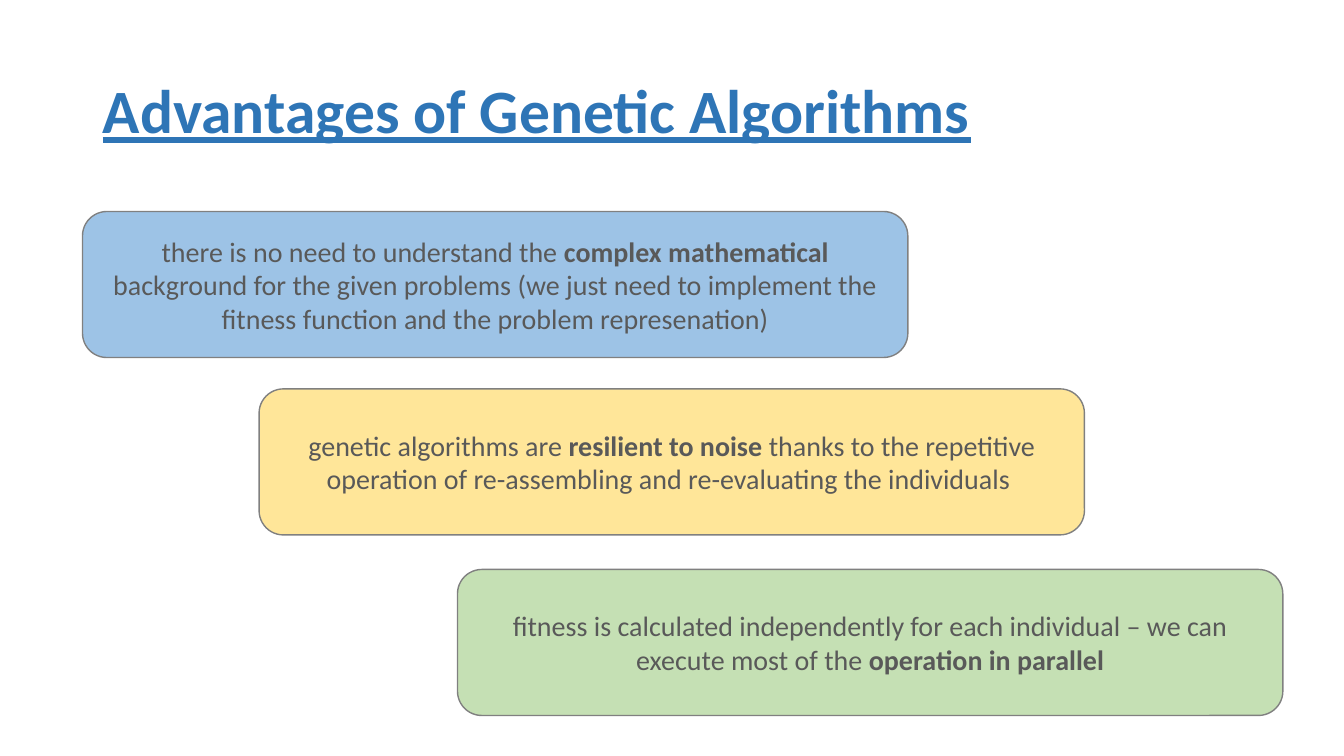
import pptx
import pptx.dml.color
import pptx.enum.shapes
import pptx.enum.text
import pptx.util
from pptx.dml.color import RGBColor
from pptx.util import Cm

TITLE_BLUE = RGBColor(0x2E, 0x75, 0xB6)
BOX_BLUE = RGBColor(0x9D, 0xC3, 0xE6)
BOX_YELLOW = RGBColor(0xFF, 0xE6, 0x99)
BOX_GREEN = RGBColor(0xC5, 0xE0, 0xB4)
OUTLINE_GREY = RGBColor(0x80, 0x80, 0x80)
TEXT_GREY = RGBColor(0x59, 0x59, 0x59)
FONT = "Calibri"

BOX_WIDTH, BOX_HEIGHT = Cm(20.8), Cm(3.68)

# left and top in cm, fill, then (text, bold) pieces
ADVANTAGES = [
    (2.08, 5.33, BOX_BLUE, [
        ("there is no need to understand the ", False),
        ("complex mathematical ", True),
        ("background for the given problems (we just need to implement "
         "the fitness function and the problem represenation)", False)]),
    (6.53, 9.8, BOX_YELLOW, [
        ("genetic algorithms are ", False),
        ("resilient to noise ", True),
        ("thanks to the repetitive operation of re-assembling and "
         "re-evaluating the individuals ", False)]),
    (11.53, 14.35, BOX_GREEN, [
        ("fitness is calculated independently for each individual – "
         "we can execute most of the ", False),
        ("operation in parallel", True)]),
]


def style_font(font, size, colour):
    font.name = FONT
    font.size = pptx.util.Pt(size)
    font.color.rgb = colour


def set_title(slide, wording):
    title = slide.shapes.title
    title.left, title.top = Cm(2.34), Cm(1.02)
    title.width, title.height = Cm(29.21), Cm(3.68)
    frame = title.text_frame
    frame.text = wording
    frame.auto_size = pptx.enum.text.MSO_AUTO_SIZE.NONE
    frame.vertical_anchor = pptx.enum.text.MSO_ANCHOR.MIDDLE
    heading = frame.paragraphs[0]
    heading.alignment = pptx.enum.text.PP_ALIGN.LEFT
    heading.line_spacing = 0.9
    style_font(heading.font, 44, TITLE_BLUE)
    heading.font.bold = True
    heading.font.underline = True


def add_advantage(slide, left, top, fill, pieces):
    box = slide.shapes.add_shape(
        pptx.enum.shapes.MSO_SHAPE.ROUNDED_RECTANGLE,
        Cm(left), Cm(top), BOX_WIDTH, BOX_HEIGHT)
    box.shadow.inherit = False
    box.fill.solid()
    box.fill.fore_color.rgb = fill
    box.line.color.rgb = OUTLINE_GREY
    box.line.width = pptx.util.Pt(1)
    frame = box.text_frame
    frame.word_wrap = True
    frame.vertical_anchor = pptx.enum.text.MSO_ANCHOR.MIDDLE
    statement = frame.paragraphs[0]
    statement.alignment = pptx.enum.text.PP_ALIGN.CENTER
    style_font(statement.font, 20, TEXT_GREY)
    for wording, bold in pieces:
        piece = statement.add_run()
        piece.text = wording
        piece.font.bold = bold


def main():
    deck = pptx.Presentation()
    deck.slide_width, deck.slide_height = Cm(33.87), Cm(19.05)
    slide = deck.slides.add_slide(deck.slide_layouts[5])
    set_title(slide, "Advantages of Genetic Algorithms")
    for left, top, fill, pieces in ADVANTAGES:
        add_advantage(slide, left, top, fill, pieces)
    deck.save("out.pptx")


if __name__ == "__main__":
    main()
